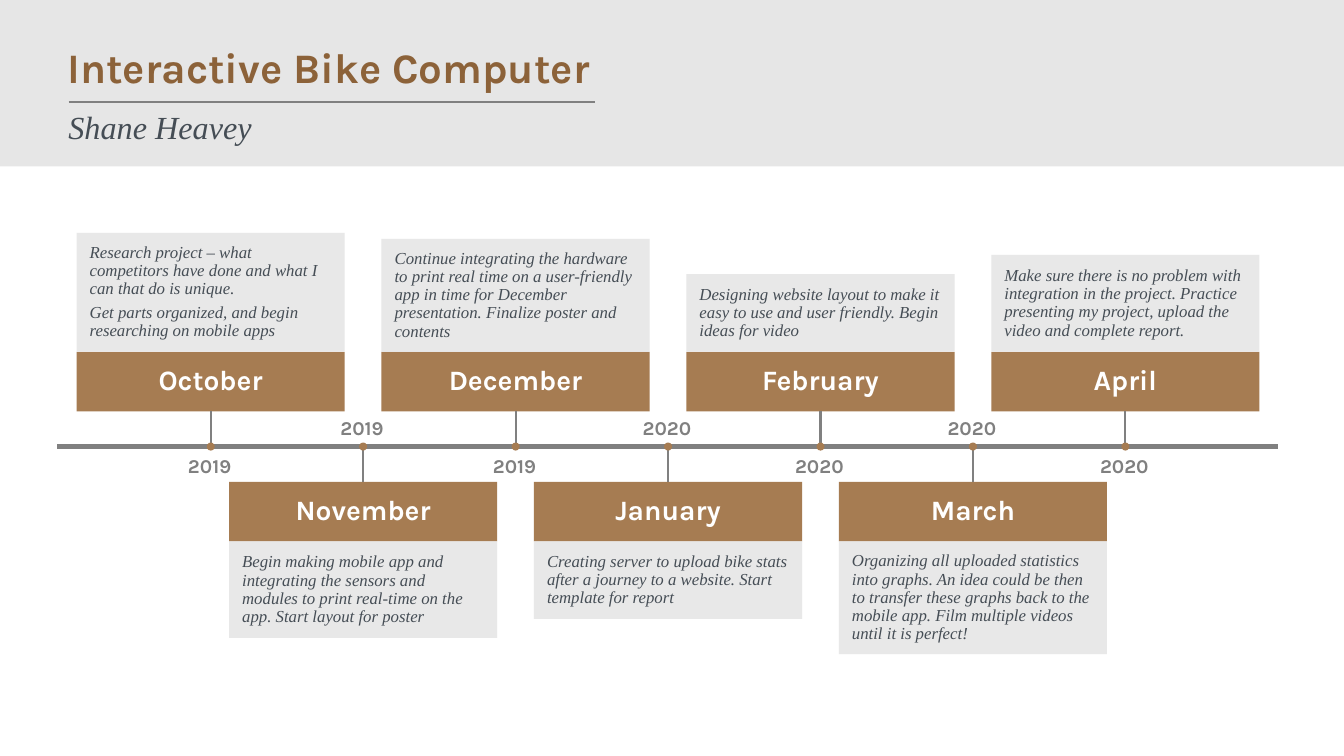
from pptx import Presentation
from pptx.util import Inches, Pt
from pptx.dml.color import RGBColor as RGB
from pptx.enum.shapes import MSO_SHAPE as Kind, MSO_CONNECTOR as Link
from pptx.enum.text import PP_ALIGN as Align, MSO_ANCHOR as Anchor
from pptx.oxml.ns import qn
from lxml.etree import SubElement

COLORS = {"band": "E6E6E6", "brown": "A67C52", "title": "8C6239",
          "text": "454D55", "gray": "808080", "white": "FFFFFF"}

STYLES = {
    "title": ({"name": "Karla", "size": Pt(30), "bold": True}, "title"),
    "author": ({"name": "Times New Roman", "size": Pt(23), "italic": True}, "text"),
    "month": ({"name": "Karla", "size": Pt(20), "bold": True}, "white"),
    "note": ({"name": "Times New Roman", "size": Pt(12), "italic": True}, "text"),
    "year": ({"name": "Karla", "size": Pt(14), "bold": True}, "gray"),
}

MONTHS = [
    ("October", "2019", 1.18,
     ["Research project – what competitors have done and what I can that do is unique.",
      "Get parts organized, and begin researching on mobile apps"]),
    ("November", "2019", 0.96,
     ["Begin making mobile app and integrating the sensors and modules to print "
      "real-time on the app. Start layout for poster"]),
    ("December", "2019", 1.12,
     ["Continue integrating the hardware to print real time on a user-friendly app "
      "in time for December presentation. Finalize poster and contents"]),
    ("January", "2020", 0.77,
     ["Creating server to upload bike stats after a journey to a website. "
      "Start template for report"]),
    ("February", "2020", 0.77,
     ["Designing website layout to make it easy to use and user friendly. "
      "Begin ideas for video"]),
    ("March", "2020", 1.12,
     ["Organizing all uploaded statistics into graphs. An idea could be then to "
      "transfer these graphs back to the mobile app. Film multiple videos until "
      "it is perfect!"]),
    ("April", "2020", 0.96,
     ["Make sure there is no problem with integration in the project. Practice "
      "presenting my project, upload the video and complete report."]),
]

FIRST, STEP = 2.09, 1.512
AXIS, STEM = 4.43, 0.35
WIDE, HIGH, DOT = 2.66, 0.59, 0.08

deck = Presentation()
deck.slide_width, deck.slide_height = Inches(13.33), Inches(7.5)
slide = deck.slides.add_slide(deck.slide_layouts[6])
shapes = slide.shapes


def write(shape, lines, style, align=Align.LEFT, anchor=Anchor.MIDDLE,
          pad=(0.1, 0.05), space=0.9, wrap=True):
    frame = shape.text_frame
    form = {"word_wrap": wrap, "vertical_anchor": anchor,
            "margin_left": Inches(pad[0]), "margin_right": Inches(pad[0]),
            "margin_top": Inches(pad[1]), "margin_bottom": Inches(pad[1])}
    for key, value in form.items():
        setattr(frame, key, value)
    fonts, color = STYLES[style]
    for i, line in enumerate(lines):
        para = frame.paragraphs[0] if i == 0 else frame.add_paragraph()
        para.alignment, para.line_spacing = align, space
        para.space_before = Pt(4.2 if i else 0)
        run = para.add_run()
        run.text = line
        for key, value in fonts.items():
            setattr(run.font, key, value)
        run.font.color.rgb = RGB.from_string(COLORS[color])


def block(kind, x, y, w, h, color, alpha=None):
    shape = shapes.add_shape(kind, *map(Inches, (x, y, w, h)))
    shape.shadow.inherit = False
    shape.fill.solid()
    shape.fill.fore_color.rgb = RGB.from_string(COLORS[color])
    shape.line.fill.background()
    if alpha:
        tone = shape._element.spPr.find(".//" + qn("a:srgbClr"))
        SubElement(tone, qn("a:alpha")).set("val", str(alpha * 1000))
    return shape


def rule(x1, y1, x2, y2, width):
    line = shapes.add_connector(Link.STRAIGHT, *map(Inches, (x1, y1, x2, y2)))
    line.line.color.rgb = RGB.from_string(COLORS["gray"])
    line.line.width = Pt(width)
    SubElement(line._element.spPr, qn("a:effectLst"))


def label(x, y, w, h, text, style, **form):
    write(shapes.add_textbox(*map(Inches, (x, y, w, h))), [text], style, **form)


block(Kind.RECTANGLE, 0, 0, 13.33, 1.65, "band")
rule(0.68, 1.01, 5.9, 1.01, 1.5)
label(0.57, 0.3, 11.71, 0.79, "Interactive Bike Computer", "title")
label(0.58, 1.06, 11.71, 0.45, "Shane Heavey", "author", anchor=Anchor.TOP)
rule(0.57, AXIS, 12.68, AXIS, 3)

for i, (month, year, tall, notes) in enumerate(MONTHS):
    mid = FIRST + i * STEP
    left = mid - WIDE / 2
    if i % 2 == 0:
        end = AXIS - STEM
        top = end - HIGH
        body, when = top - tall, 4.45
    else:
        top = end = AXIS + STEM
        body, when = top + HIGH, 4.07
    bar = block(Kind.RECTANGLE, left, top, WIDE, HIGH, "brown")
    write(bar, [month], "month", align=Align.CENTER, pad=(0.11, 0.11))
    card = block(Kind.RECTANGLE, left, body, WIDE, tall, "band", 90)
    write(card, notes, "note", pad=(0.13, 0.12))
    rule(mid, end, mid, AXIS, 1.5)
    block(Kind.OVAL, mid - DOT / 2, AXIS - DOT / 2, DOT, DOT, "brown")
    label(mid - 0.36, when, 0.7, 0.34, year, "year",
          align=Align.CENTER, space=1.0, wrap=False)

deck.save("out.pptx")
